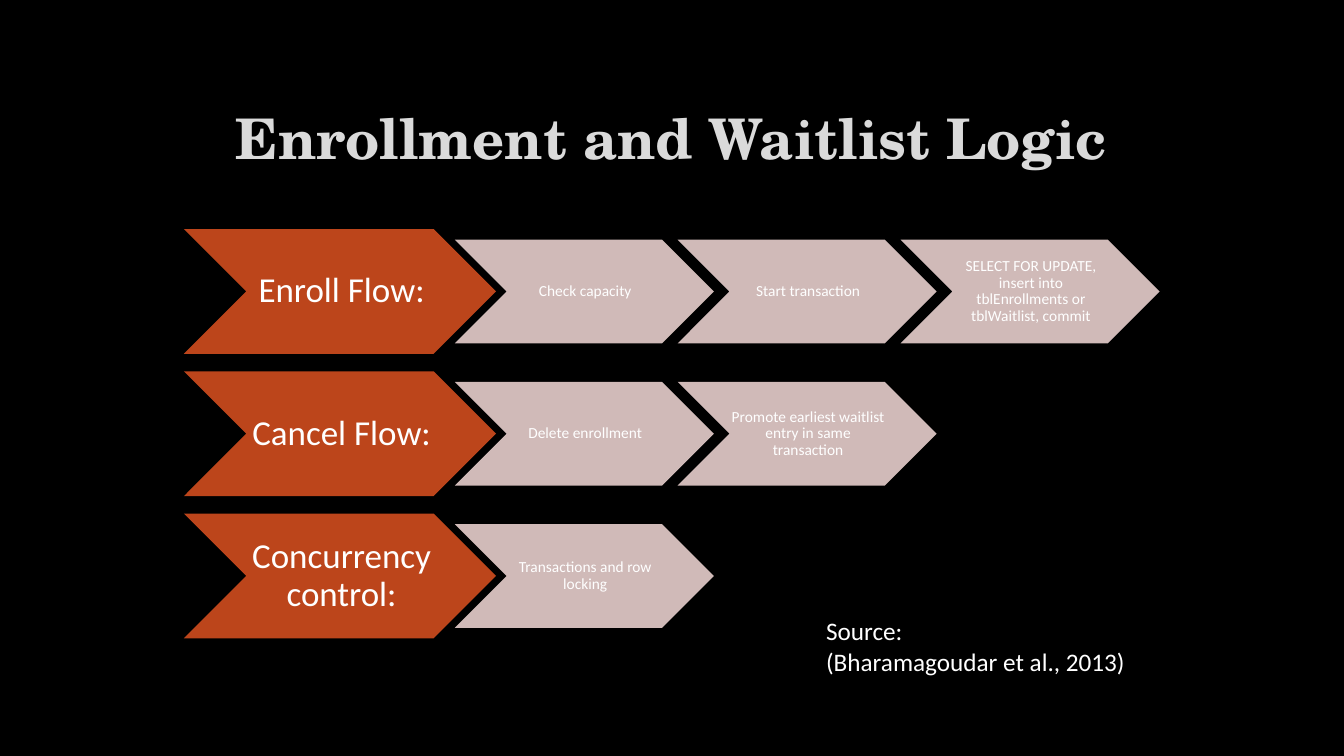
from lxml.etree import SubElement
from pptx import Presentation
from pptx.dml.color import RGBColor
from pptx.enum.shapes import MSO_SHAPE as Preset
from pptx.enum.text import MSO_ANCHOR as Anchor, PP_ALIGN as Align
from pptx.oxml import parse_xml
from pptx.oxml.ns import qn
from pptx.util import Pt

COLORS = {
    "background": "000000",
    "title": "DADADA",
    "title_edge": "404040",
    "flow": "BC451B",
    "step": "E7CFCD",
    "text": "FFFFFF",
}

FLOWS = [
    ("Enroll Flow:", ["Check capacity", "Start transaction",
                      "SELECT FOR UPDATE, insert into tblEnrollments or tblWaitlist, commit"]),
    ("Cancel Flow:", ["Delete enrollment",
                      "Promote earliest waitlist entry in same transaction"]),
    ("Concurrency control:", ["Transactions and row locking"]),
]

# Chevron grid, in points
FLOW_LEFT, FLOW_SIZE = 131.3, (223, 89.2)
STEP_LEFT, STEP_SIZE = 324.9, (185, 74)
FIRST_MIDDLE, ROW_PITCH, STEP_PITCH = 208.2, 101.6, 159.2


class SlideBuilder:
    body_font = "Calibri"
    title_font = "TeX Gyre Schola"

    def __init__(self, page):
        self.page = page

    def color(self, name):
        return RGBColor.from_string(COLORS[name])

    def background(self, name):
        fill = self.page.background.fill
        fill.solid()
        fill.fore_color.rgb = self.color(name)

    def add_span(self, para, text, size, color="text", font=body_font, bold=False):
        span = para.add_run()
        span.text = text
        span.font.size = Pt(size)
        span.font.name = font
        span.font.bold = bold
        span.font.color.rgb = self.color(color)
        return span

    def text_box(self, left, top, width, height, anchor=Anchor.TOP):
        box = self.page.shapes.add_textbox(Pt(left), Pt(top), Pt(width), Pt(height))
        box.text_frame.word_wrap = True
        box.text_frame.vertical_anchor = anchor
        return box.text_frame

    def title(self, text, *bounds):
        para = self.text_box(*bounds, anchor=Anchor.MIDDLE).paragraphs[0]
        para.alignment = Align.CENTER
        para.space_after = Pt(6)
        span = self.add_span(para, text, 40, "title", self.title_font, bold=True)
        # Faint letter outline
        outline = parse_xml(
            '<a:ln xmlns:a="http://schemas.openxmlformats.org/drawingml/2006/main" '
            f'w="{Pt(0.75)}"><a:solidFill><a:srgbClr val="{COLORS["title_edge"]}">'
            '<a:alpha val="10000"/></a:srgbClr></a:solidFill></a:ln>')
        span.font._element.insert(0, outline)

    def chevron(self, text, left, middle, size, color, text_size, inset, opacity=100):
        width, height = size
        shape = self.page.shapes.add_shape(
            Preset.CHEVRON, Pt(left), Pt(middle - height / 2), Pt(width), Pt(height))
        shape.shadow.inherit = False
        shape.line.fill.background()
        shape.fill.solid()
        shape.fill.fore_color.rgb = self.color(color)
        if opacity < 100:
            tint = shape._element.spPr.find(qn("a:solidFill")).find(qn("a:srgbClr"))
            SubElement(tint, qn("a:alpha")).set("val", str(opacity * 1000))
        frame = shape.text_frame
        frame.word_wrap = True
        frame.vertical_anchor = Anchor.MIDDLE
        frame.margin_left, frame.margin_right = Pt(inset), Pt(0)
        frame.margin_top = frame.margin_bottom = Pt(inset / 2)
        para = frame.paragraphs[0]
        para.alignment = Align.CENTER
        para.line_spacing = 0.9
        self.add_span(para, text, text_size)

    def source(self, lines, *bounds):
        frame = self.text_box(*bounds)
        for index, line in enumerate(lines):
            para = frame.add_paragraph() if index else frame.paragraphs[0]
            self.add_span(para, line, 18)


def main():
    deck = Presentation()
    deck.slide_width, deck.slide_height = Pt(960), Pt(540)
    builder = SlideBuilder(deck.slides.add_slide(deck.slide_layouts[6]))
    builder.background("background")
    builder.title("Enrollment and Waitlist Logic", 72, 48.2, 815, 99.4)

    # One row per flow: a large chevron, then its steps
    for row, (flow, steps) in enumerate(FLOWS):
        middle = FIRST_MIDDLE + row * ROW_PITCH
        builder.chevron(flow, FLOW_LEFT, middle, FLOW_SIZE, "flow", 25, 2.4)
        for column, step in enumerate(steps):
            builder.chevron(step, STEP_LEFT + column * STEP_PITCH, middle,
                            STEP_SIZE, "step", 11, 1.4, opacity=90)

    # Citation
    builder.source(["Source:", "(Bharamagoudar et al., 2013)"], 583, 436.3, 277, 51)
    deck.save("out.pptx")


if __name__ == "__main__":
    main()
